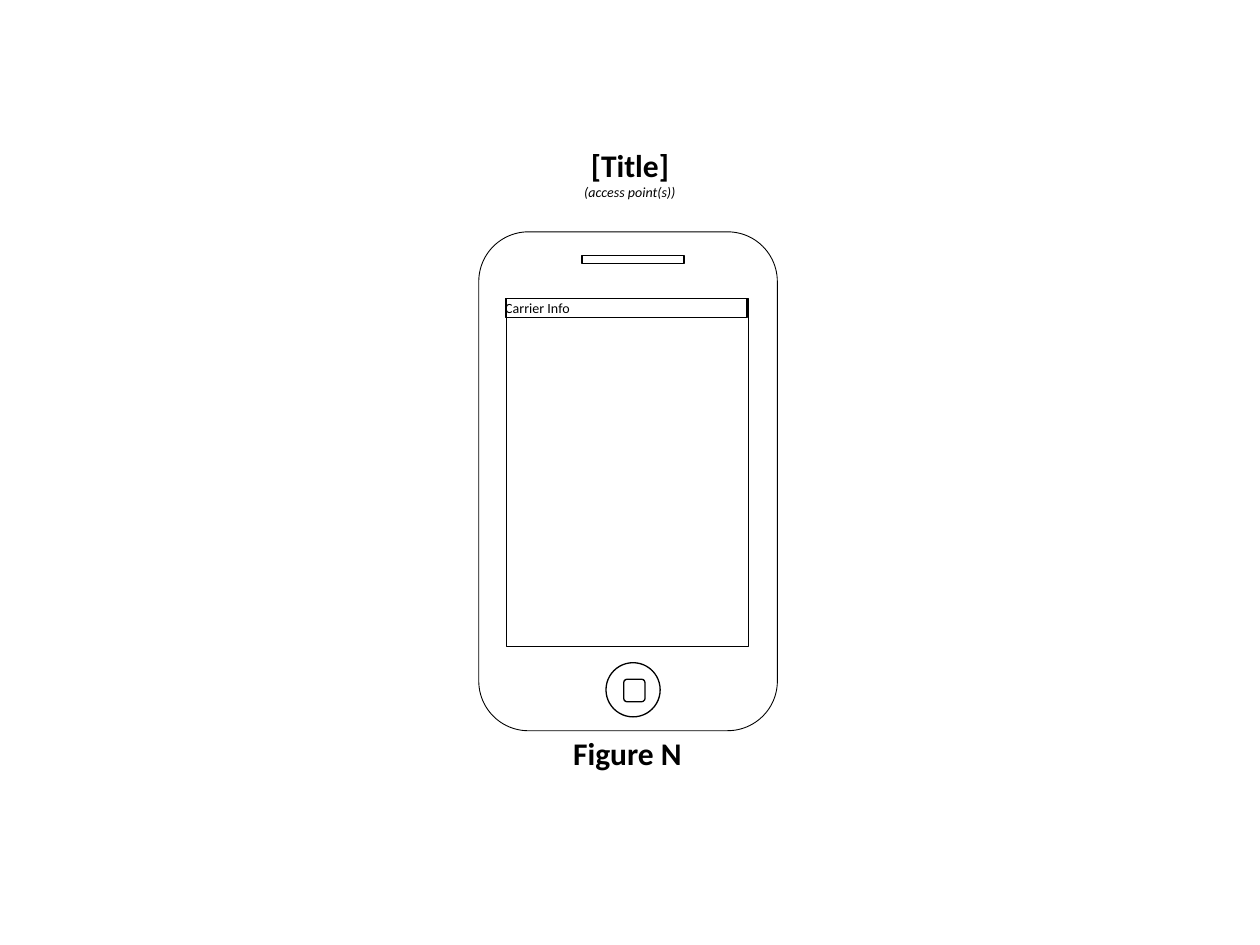
"""Build a blank phone wireframe page with a title and a figure caption."""
from dataclasses import dataclass
from typing import Any

from pptx import Presentation
from pptx.dml.color import RGBColor
from pptx.enum.shapes import MSO_SHAPE
from pptx.enum.text import MSO_ANCHOR, PP_ALIGN
from pptx.util import Inches, Pt


@dataclass(frozen=True)
class Theme:
    font: str = "Calibri"
    ink: RGBColor = RGBColor(0, 0, 0)
    heading: Pt = Pt(18)
    small: Pt = Pt(8)
    thin: Pt = Pt(0.5)
    regular: Pt = Pt(0.75)


@dataclass(frozen=True)
class Frame:
    left: float
    top: float
    width: float
    height: float

    def lengths(self) -> list[Inches]:
        return [Inches(n) for n in (self.left, self.top, self.width, self.height)]


@dataclass(frozen=True)
class Part:
    kind: MSO_SHAPE
    frame: Frame
    line: Pt


@dataclass(frozen=True)
class Line:
    text: str
    style: dict[str, Any]


THEME = Theme()
HEADING = {"size": THEME.heading, "bold": True}
ACCESS = {"size": THEME.small, "italic": True}
STATUS = {"size": THEME.small}

SCREEN = Part(MSO_SHAPE.RECTANGLE, Frame(4.02, 2.37, 1.92, 2.76), THEME.regular)
BODY = Part(MSO_SHAPE.ROUNDED_RECTANGLE, Frame(3.8, 1.84, 2.37, 3.96), THEME.thin)
HOME_BUTTON = Part(MSO_SHAPE.OVAL, Frame(4.81, 5.26, 0.43, 0.43), THEME.regular)
SPEAKER = Part(MSO_SHAPE.RECTANGLE, Frame(4.62, 2.03, 0.81, 0.06), THEME.regular)
STATUS_BAR = Part(MSO_SHAPE.RECTANGLE, Frame(4.01, 2.37, 1.92, 0.15), THEME.regular)
HOME_ICON = Part(MSO_SHAPE.ROUNDED_RECTANGLE, Frame(4.95, 5.39, 0.17, 0.18), THEME.regular)


def set_all(target: Any, values: dict[str, Any]) -> None:
    for name, value in values.items():
        setattr(target, name, value)


def write(text_frame: Any, lines: list[Line], alignment: PP_ALIGN) -> None:
    text_frame.word_wrap = True
    for index, line in enumerate(lines):
        para = text_frame.add_paragraph() if index else text_frame.paragraphs[0]
        para.alignment = alignment
        span = para.add_run()
        span.text = line.text
        set_all(span.font, {"name": THEME.font, **line.style})
        span.font.color.rgb = THEME.ink


def draw_part(page: Any, part: Part) -> Any:
    shape = page.shapes.add_shape(part.kind, *part.frame.lengths())
    shape.shadow.inherit = False
    shape.fill.background()
    shape.line.color.rgb = THEME.ink
    shape.line.width = part.line
    return shape


def draw_label(page: Any, frame: Frame, lines: list[Line]) -> None:
    box = page.shapes.add_textbox(*frame.lengths())
    write(box.text_frame, lines, PP_ALIGN.CENTER)


def draw_status_bar(page: Any) -> None:
    text_frame = draw_part(page, STATUS_BAR).text_frame
    set_all(text_frame, {"margin_left": 0, "margin_right": 0,
                         "vertical_anchor": MSO_ANCHOR.MIDDLE})
    write(text_frame, [Line("Carrier Info", STATUS)], PP_ALIGN.LEFT)


def main() -> None:
    deck = Presentation()
    set_all(deck, {"slide_width": Inches(10), "slide_height": Inches(7.5)})
    page = deck.slides.add_slide(deck.slide_layouts[6])
    draw_part(page, SCREEN)
    draw_label(page, Frame(3.13, 5.78, 3.7, 0.61), [Line("Figure N", HEADING)])
    draw_label(page, Frame(3.15, 1.11, 3.7, 0.54),
               [Line("[Title]", HEADING), Line("(access point(s))", ACCESS)])
    for part in (BODY, HOME_BUTTON, SPEAKER):
        draw_part(page, part)
    draw_status_bar(page)
    draw_part(page, HOME_ICON)
    deck.save("out.pptx")


if __name__ == "__main__":
    main()
